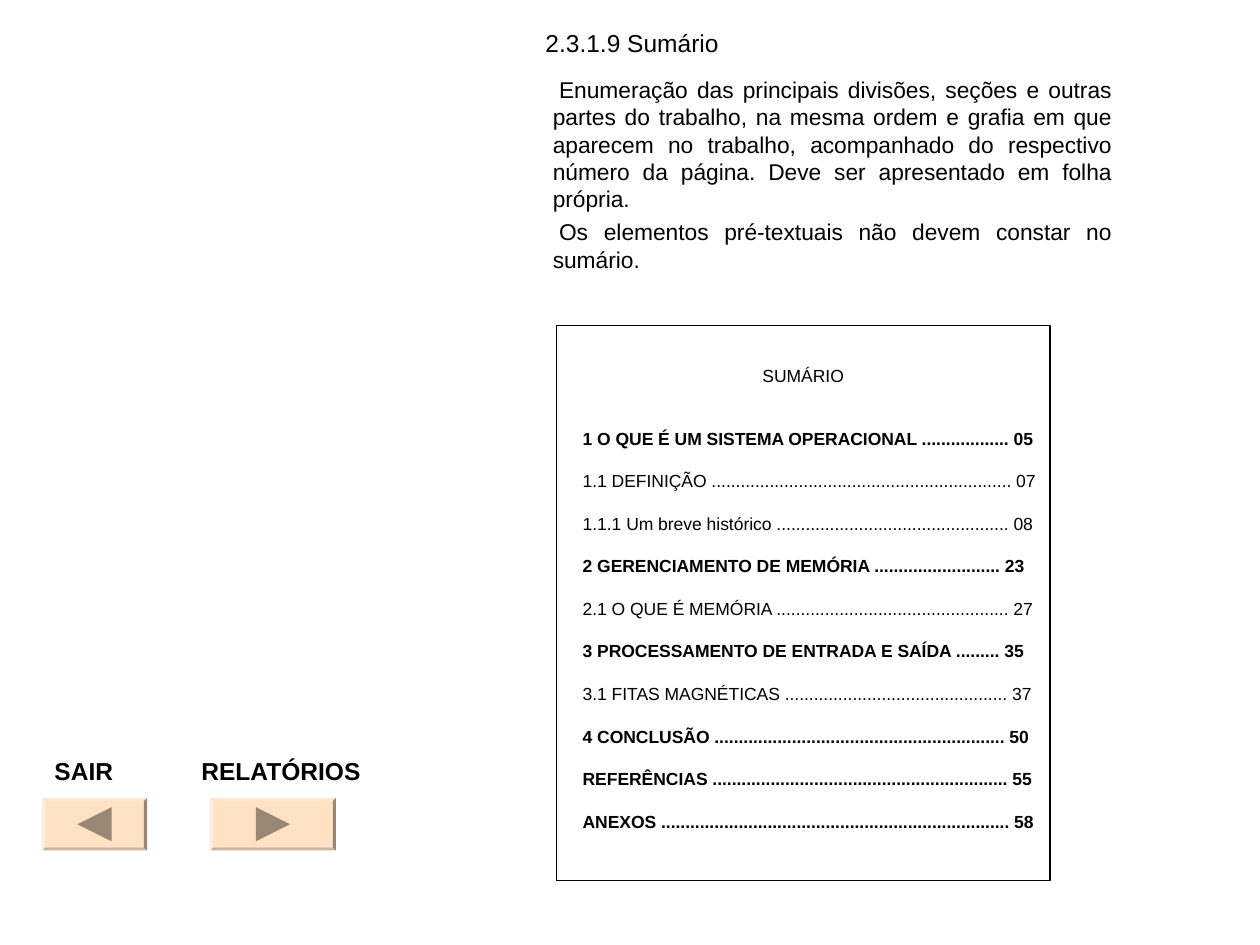
from dataclasses import dataclass

from pptx import Presentation
from pptx.dml.color import RGBColor
from pptx.enum import shapes, text
from pptx.util import Pt


@dataclass(frozen=True)
class Theme:
    font: str = "Arial"
    ink: RGBColor = RGBColor(0, 0, 0)
    paper: RGBColor = RGBColor(255, 255, 255)
    key: RGBColor = RGBColor(0xFF, 0xE1, 0xC3)
    arrow: RGBColor = RGBColor(0x99, 0x87, 0x75)
    head: int = 14
    body: int = 13
    list: int = 10


THEME = Theme()
ALIGN = text.PP_ALIGN
ANCHOR = text.MSO_ANCHOR

BODY = [
    "Enumeração das principais divisões, seções e outras partes do trabalho, "
    "na mesma ordem e grafia em que aparecem no trabalho, acompanhado do "
    "respectivo número da página. Deve ser apresentado em folha própria.",
    "Os elementos pré-textuais não devem constar no sumário.",
]

# Entry, number of leader dots, page, bold
ENTRIES = [
    ("1 O QUE É UM SISTEMA OPERACIONAL", 18, "05", True),
    ("1.1 DEFINIÇÃO", 62, "07", False),
    ("1.1.1 Um breve histórico", 48, "08", False),
    ("2 GERENCIAMENTO DE MEMÓRIA", 26, "23", True),
    ("2.1 O QUE É MEMÓRIA", 48, "27", False),
    ("3 PROCESSAMENTO DE ENTRADA E SAÍDA", 9, "35", True),
    ("3.1 FITAS MAGNÉTICAS", 46, "37", False),
    ("4 CONCLUSÃO", 60, "50", True),
    ("REFERÊNCIAS", 61, "55", True),
    ("ANEXOS", 72, "58", True),
]


def place(box):
    return [Pt(n) for n in box]


def set_up(frame, anchor=ANCHOR.TOP):
    frame.word_wrap = True
    frame.auto_size = text.MSO_AUTO_SIZE.NONE
    frame.vertical_anchor = anchor


def write(para, words, size, bold=False, align=ALIGN.LEFT):
    para.text = words
    para.alignment = align
    font = para.font
    font.name, font.size, font.bold = THEME.font, Pt(size), bold
    font.color.rgb = THEME.ink


def add_para(frame, first):
    return frame.paragraphs[0] if first else frame.add_paragraph()


def indent(para, left, first=0):
    props = para._p.get_or_add_pPr()
    props.set("marL", str(Pt(left)))
    props.set("indent", str(Pt(first)))


def paint(shape, color):
    shape.shadow.inherit = False
    shape.fill.solid()
    shape.fill.fore_color.rgb = color
    shape.line.fill.background()


def draw_head(slide, box):
    title = slide.shapes.title
    title.left, title.top, title.width, title.height = place(box)
    set_up(title.text_frame)
    write(title.text_frame.paragraphs[0], "2.3.1.9 Sumário", THEME.head)


def draw_body(slide, box):
    frame = slide.shapes.add_textbox(*place(box)).text_frame
    set_up(frame)
    for i, words in enumerate(BODY):
        para = add_para(frame, i == 0)
        write(para, words, THEME.body, align=ALIGN.JUSTIFY)
        indent(para, 0, 3.6)
        para.line_spacing = Pt(15.65)
        para.space_before = Pt(3.3 if i else 0)


def draw_list(slide, box):
    rect = slide.shapes.add_shape(shapes.MSO_SHAPE.RECTANGLE, *place(box))
    paint(rect, THEME.paper)
    rect.line.color.rgb = THEME.ink
    rect.line.width = Pt(0.75)
    frame = rect.text_frame
    set_up(frame)
    frame.margin_top = Pt(16.2)
    frame.margin_left = frame.margin_right = Pt(3)

    # Heading of the sample contents page
    para = frame.paragraphs[0]
    write(para, "SUMÁRIO", THEME.list, align=ALIGN.CENTER)
    para.line_spacing = Pt(18.1)
    para.space_after = Pt(11.7)

    # Entries with dot leaders
    for name, dots, page, bold in ENTRIES:
        para = frame.add_paragraph()
        write(para, f"{name} {'.' * dots} {page}", THEME.list, bold)
        indent(para, 12)
        para.line_spacing = Pt(18.1)
        para.space_before = Pt(6.2)


def draw_key(slide, box, way):
    """Bevelled button; way is -1 for a left arrow, 1 for a right one."""
    left, top, width, height = box
    key = slide.shapes.add_shape(shapes.MSO_SHAPE.BEVEL, *place(box))
    key.adjustments[0] = 0.06
    paint(key, THEME.key)

    # Arrow in the middle of the button
    mid, row, half = left + width / 2, top + height / 2, 9.75
    back, tip = mid - way * half, mid + way * half
    pen = slide.shapes.build_freeform(Pt(back), Pt(row - half))
    pen.add_line_segments([(Pt(tip), Pt(row)), (Pt(back), Pt(row + half))])
    paint(pen.convert_to_shape(), THEME.arrow)


def draw_label(slide, box, words):
    frame = slide.shapes.add_textbox(*place(box)).text_frame
    set_up(frame, ANCHOR.BOTTOM)
    write(frame.paragraphs[0], words, THEME.head, True)


def main():
    deck = Presentation()
    deck.slide_width, deck.slide_height = Pt(720), Pt(540)
    slide = deck.slides.add_slide(deck.slide_layouts[5])
    draw_head(slide, (304.5, 12.24, 330, 26))
    draw_body(slide, (308.8, 39.6, 333.2, 124))
    draw_list(slide, (318, 186, 282, 317))
    draw_key(slide, (24, 456, 60, 30), -1)
    draw_label(slide, (24, 420, 60, 32.4), "SAIR")
    draw_key(slide, (120, 456, 72, 30), 1)
    draw_label(slide, (108, 420, 114, 32.4), "RELATÓRIOS")
    deck.save("out.pptx")


if __name__ == "__main__":
    main()
